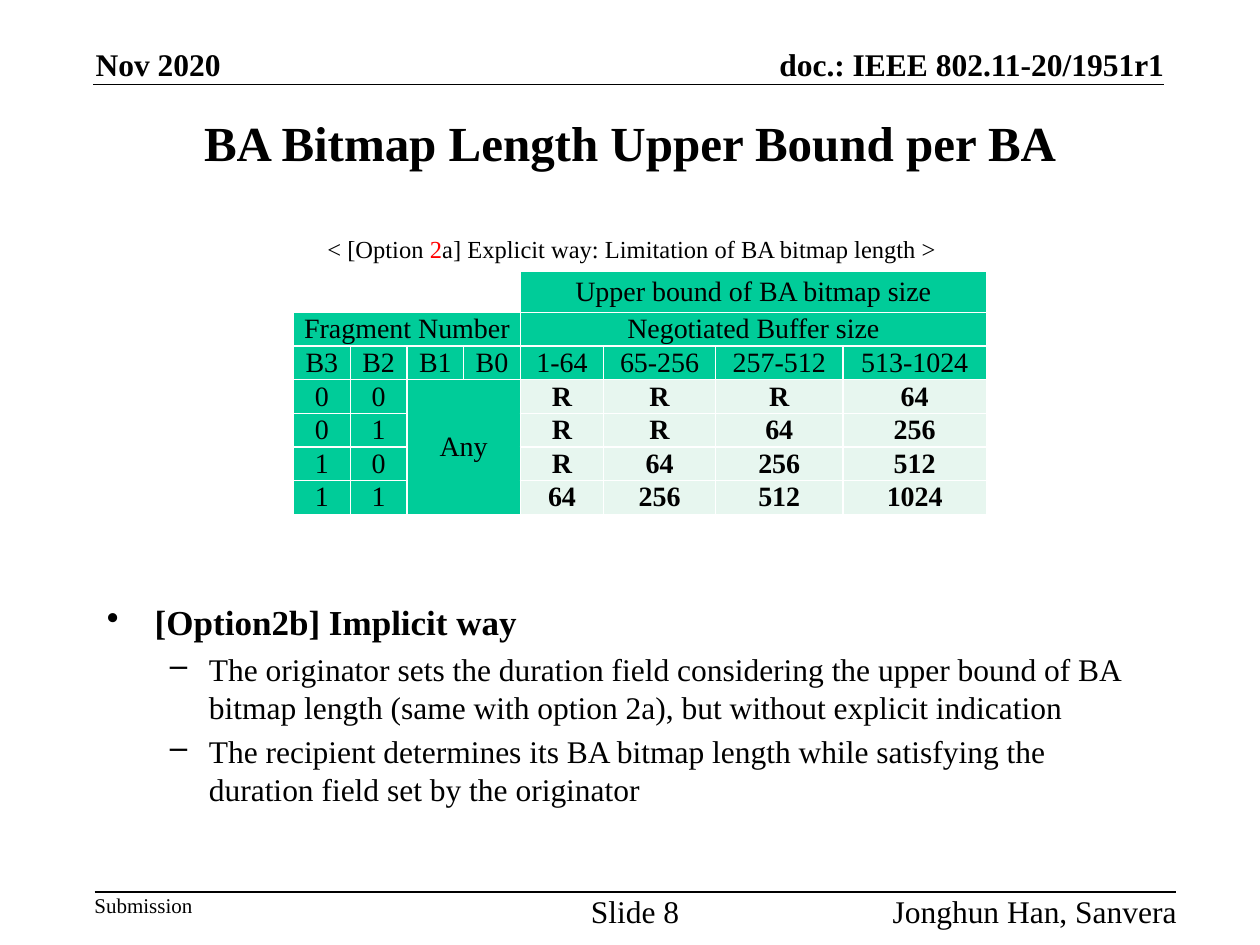
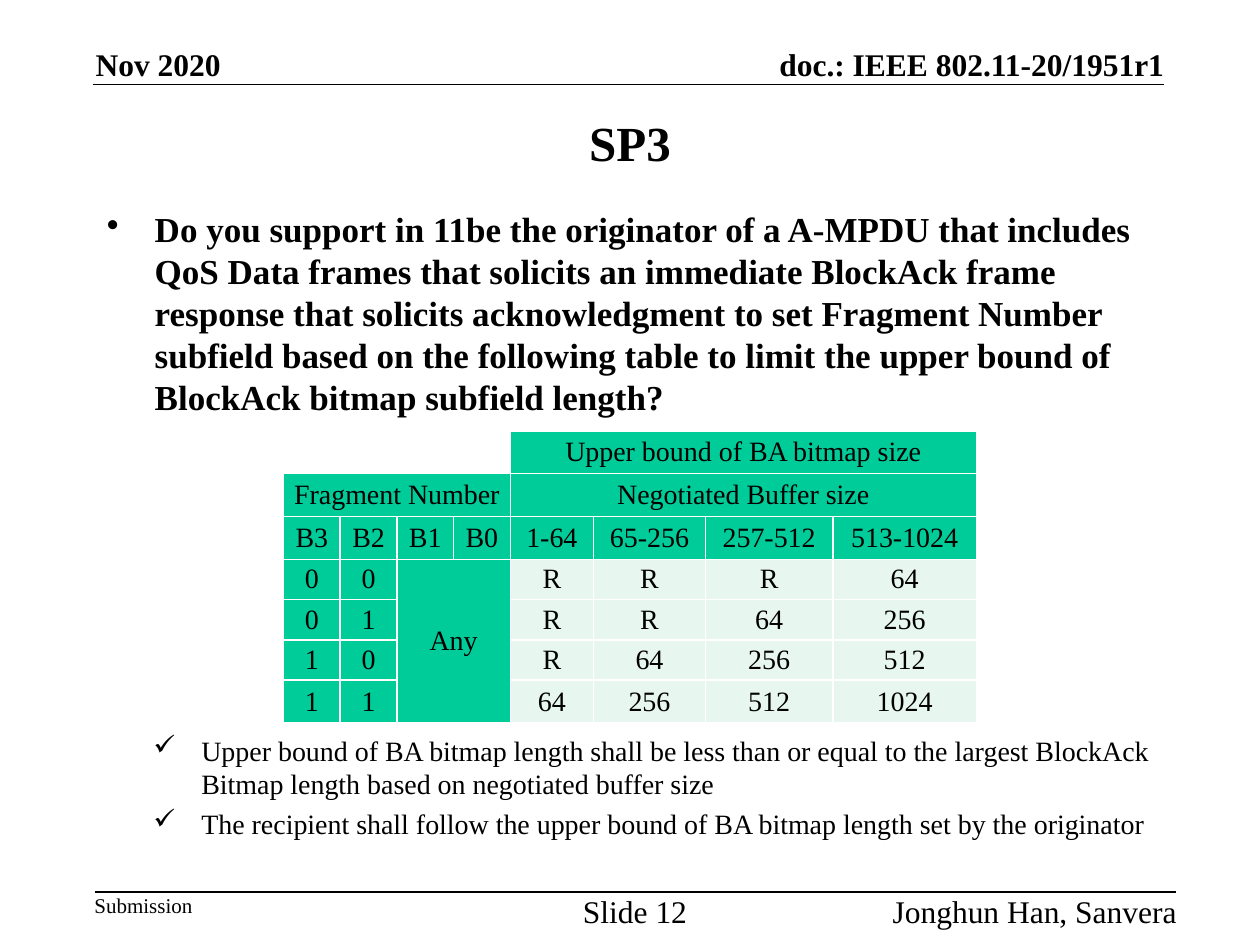
"""Build two slides on the upper bound of the BA bitmap length."""
from lxml.etree import SubElement
from pptx import Presentation
from pptx.dml.color import RGBColor
from pptx.enum.shapes import MSO_CONNECTOR
from pptx.enum.text import MSO_ANCHOR, PP_ALIGN
from pptx.oxml.ns import qn
from pptx.util import Inches, Pt

BLACK = RGBColor(0x00, 0x00, 0x00)
RED = RGBColor(0xFF, 0x00, 0x00)
GREEN = RGBColor(0x00, 0xCC, 0x99)
PALE = RGBColor(0xE7, 0xF6, 0xEF)
FONT = "Times New Roman"
LEFT, MID, RIGHT = PP_ALIGN.LEFT, PP_ALIGN.CENTER, PP_ALIGN.RIGHT
TOP, BASE = MSO_ANCHOR.TOP, MSO_ANCHOR.BOTTOM

COLS = [0.45, 0.45, 0.45, 0.45, 0.66, 0.89, 1.01, 1.14]
GRID = [
    ["", "", "", "", "Upper bound of BA bitmap size", "", "", ""],
    ["Fragment Number", "", "", "", "Negotiated Buffer size", "", "", ""],
    ["B3", "B2", "B1", "B0", "1-64", "65-256", "257-512", "513-1024"],
    ["0", "0", "Any", "", "R", "R", "R", "64"],
    ["0", "1", "", "", "R", "R", "64", "256"],
    ["1", "0", "", "", "R", "64", "256", "512"],
    ["1", "1", "", "", "64", "256", "512", "1024"],
]
SPANS = [(0, 4, 0, 7), (1, 0, 1, 3), (1, 4, 1, 7), (3, 2, 6, 3)]
RULES = [(0.74, 0.67, 9.24), (0.75, 7.08, 9.33)]

# bullet, left margin, hanging indent, size, bold, space before
STYLES = {
    "head": ("•", 0.38, 0.38, 20, True, 4),
    "dash": ("–", 0.81, 0.31, 18, False, 4),
    "tick": ("✓", 0.75, 0.38, 16, False, 3.7),
}

PAGES = [
    {
        "title": "BA Bitmap Length Upper Bound per BA",
        "page": "Slide 8",
        "table": (2.33, 2.15, [0.33] + [0.25] * 6, True),
        "lists": [(4.72, 2.3, [
            ("head", "[Option2b] Implicit way"),
            ("dash", "The originator sets the duration field considering the "
             "upper bound of BA bitmap length (same with option 2a), but "
             "without explicit indication"),
            ("dash", "The recipient determines its BA bitmap length while "
             "satisfying the duration field set by the originator"),
        ])],
        "label": [("< [Option ", BLACK), ("2", RED),
                  ("a] Explicit way: Limitation of BA bitmap length >", BLACK)],
    },
    {
        "title": "SP3",
        "page": "Slide 12",
        "table": (2.25, 3.42, [0.34] * 3 + [0.32] * 3 + [0.34], False),
        "lists": [
            (1.6, 1.8, [
                ("head", "Do you support in 11be the originator of a A-MPDU "
                 "that includes QoS Data frames that solicits an immediate "
                 "BlockAck frame response that solicits acknowledgment to set "
                 "Fragment Number subfield based on the following table to "
                 "limit the upper bound of BlockAck bitmap subfield length?"),
            ]),
            (5.77, 1.2, [
                ("tick", "Upper bound of BA bitmap length shall be less than "
                 "or equal to the largest BlockAck Bitmap length based on "
                 "negotiated buffer size"),
                ("tick", "The recipient shall follow the upper bound of BA "
                 "bitmap length set by the originator"),
            ]),
        ],
        "label": [],
    },
]


def add_run(para, text, size, bold=False, color=BLACK):
    run = para.add_run()
    run.text = text
    font = run.font
    font.name, font.size, font.bold = FONT, Pt(size), bold
    font.color.rgb = color


def add_box(slide, x, y, w, h, pad=True):
    frame = slide.shapes.add_textbox(
        Inches(x), Inches(y), Inches(w), Inches(h)).text_frame
    frame.word_wrap = True
    if not pad:
        frame.margin_left = frame.margin_right = 0
        frame.margin_top = frame.margin_bottom = 0
    return frame


deck = Presentation()
deck.slide_width, deck.slide_height = Inches(10), Inches(7.5)

for page in PAGES:
    slide = deck.slides.add_slide(deck.slide_layouts[5])

    for x, y, end in RULES:
        rule = slide.shapes.add_connector(
            MSO_CONNECTOR.STRAIGHT, Inches(x), Inches(y), Inches(end), Inches(y))
        rule.line.color.rgb = BLACK
        rule.line.width = Pt(1)
        SubElement(rule._element.spPr, qn("a:effectLst"))

    for x, y, w, text, size, bold, align, anchor in [
        (0.76, 0.36, 2, "Nov 2020", 18, True, LEFT, BASE),
        (5.65, 0.36, 3.59, "doc.: IEEE 802.11-20/1951r1", 18, True, RIGHT, BASE),
        (0.75, 7.08, 2, "Submission", 12, False, LEFT, TOP),
        (4.04, 7.08, 2, page["page"], 18, False, MID, TOP),
        (6.34, 7.08, 3, "Jonghun Han, Sanvera", 18, False, RIGHT, TOP),
    ]:
        frame = add_box(slide, x, y, w, 0.3, pad=False)
        frame.vertical_anchor = anchor
        para = frame.paragraphs[0]
        para.alignment = align
        add_run(para, text, size, bold)

    title = slide.shapes.title
    title.left, title.top = Inches(0.75), Inches(0.75)
    title.width, title.height = Inches(8.5), Inches(0.75)
    title.text_frame.vertical_anchor = MSO_ANCHOR.MIDDLE
    para = title.text_frame.paragraphs[0]
    para.alignment = MID
    add_run(para, page["title"], 28, True)

    for y, h, items in page["lists"]:
        frame = add_box(slide, 0.75, y, 8.5, h)
        for i, (kind, text) in enumerate(items):
            mark, left, hang, size, bold, gap = STYLES[kind]
            para = frame.add_paragraph() if i else frame.paragraphs[0]
            props = para._p.get_or_add_pPr()
            props.set("marL", str(Inches(left)))
            props.set("indent", str(-Inches(hang)))
            SubElement(props, qn("a:buChar")).set("char", mark)
            para.space_before = Pt(gap if i else 0)
            add_run(para, text, size, bold)

    x, y, rows, strong = page["table"]
    table = slide.shapes.add_table(
        len(GRID), len(COLS), Inches(x), Inches(y),
        Inches(sum(COLS)), Inches(sum(rows))).table
    table.first_row = table.horz_banding = False
    for col, width in zip(table.columns, COLS):
        col.width = Inches(width)
    for row, height in zip(table.rows, rows):
        row.height = Inches(height)
    for r, line in enumerate(GRID):
        for c, text in enumerate(line):
            cell = table.cell(r, c)
            cell.margin_left = cell.margin_right = Inches(0.01)
            cell.margin_top = cell.margin_bottom = 0
            cell.vertical_anchor = MSO_ANCHOR.MIDDLE
            props = cell._tc.get_or_add_tcPr()
            for side in ("lnL", "lnR", "lnT", "lnB"):
                edge = SubElement(props, qn("a:" + side))
                edge.set("w", str(Pt(1)))
                paint = SubElement(edge, qn("a:solidFill"))
                SubElement(paint, qn("a:srgbClr")).set("val", "FFFFFF")
            value = r > 2 and c > 3
            if r == 0 and c < 4:
                cell.fill.background()
            else:
                cell.fill.solid()
                cell.fill.fore_color.rgb = PALE if value else GREEN
            if text:
                para = cell.text_frame.paragraphs[0]
                para.alignment = MID
                add_run(para, text, 16, strong and value)
    for top, left, low, right in SPANS:
        table.cell(top, left).merge(table.cell(low, right))

    if page["label"]:
        frame = add_box(slide, 2.5, 1.81, 5.07, 0.34)
        for text, color in page["label"]:
            add_run(frame.paragraphs[0], text, 14, color=color)

deck.save("out.pptx")
